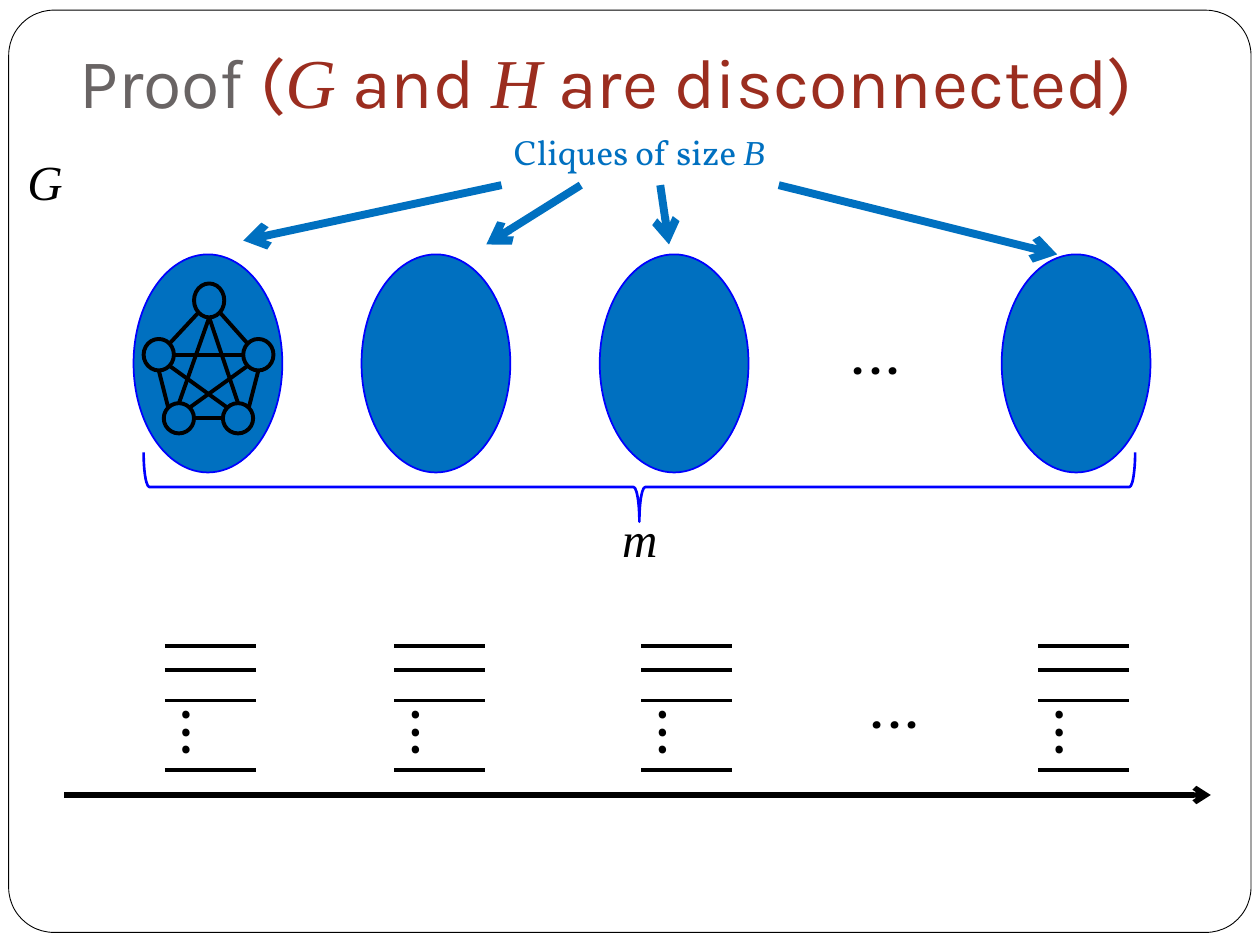
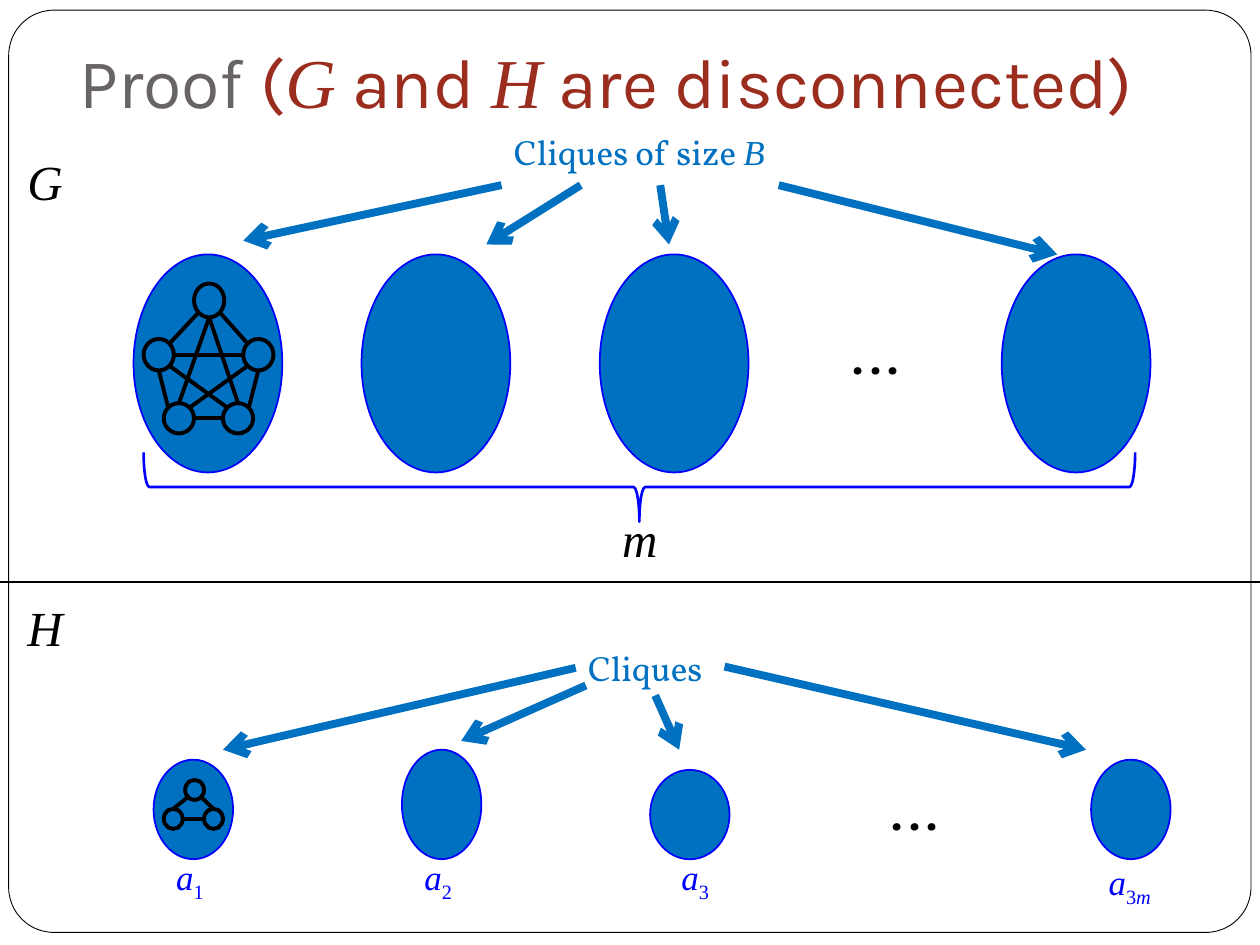
"""Two slides on disconnected graphs G and H, drawn as rows of cliques."""
from dataclasses import dataclass
from math import hypot

from lxml import etree
from pptx import Presentation
from pptx.dml import color
from pptx.enum import shapes, text
from pptx.oxml import ns
from pptx.util import Pt


@dataclass(frozen=True)
class Theme:
    """Colours, fonts and type sizes of the deck."""
    ink: str = "000000"
    paper: str = "FFFFFF"
    grey: str = "696464"
    red: str = "9B2D1F"
    clique: str = "0070C0"
    outline: str = "0000FF"
    heading: str = "Karla"
    body: str = "Vollkorn"
    math: str = "Times New Roman"
    title_size: float = 40
    dots_size: float = 32
    symbol_size: float = 28
    label_size: float = 20


THEME = Theme()
OVAL = shapes.MSO_SHAPE.OVAL
COMPASS = {"n": (0, -1), "ne": (1, -1), "e": (1, 0), "se": (1, 1),
           "s": (0, 1), "sw": (-1, 1), "w": (-1, 0), "nw": (-1, -1)}

TITLE = [("Proof ", THEME.heading, THEME.grey),
         ("(", THEME.heading, THEME.red),
         ("G", THEME.math, THEME.red),
         (" and ", THEME.heading, THEME.red),
         ("H", THEME.math, THEME.red),
         (" are disconnected)", THEME.heading, THEME.red)]

G_CLIQUE_LEFTS = (76.3, 206.6, 342.7, 572.4)
G_ARROWS = [((286.6, 105.8), (139, 137.5)), ((331.9, 105.8), (277.9, 139.7)),
            ((377.3, 105.8), (382.3, 139.7)), ((445, 105.8), (604.1, 145.4))]
PENTAGON = {"left": (82.1, 193.7, 17.3, 18), "right": (139, 193.7, 17.3, 18),
            "top": (110.9, 162, 17.3, 19.4),
            "foot left": (93.6, 230.4, 17.3, 17.3),
            "foot right": (127.4, 230.4, 17.3, 17.3)}
PENTAGON_EDGES = [("top", "se", "right", "nw"), ("top", "sw", "left", "ne"),
                  ("top", "s", "foot right", "n"), ("top", "s", "foot left", "n"),
                  ("left", "e", "right", "w"), ("left", "s", "foot left", "nw"),
                  ("left", "se", "foot right", "nw"),
                  ("right", "s", "foot right", "ne"),
                  ("right", "sw", "foot left", "ne"),
                  ("foot left", "e", "foot right", "w")]

STREAM_LEFTS = (94.3, 225.4, 366.5, 593.3)
STREAM_LEVELS = (369.4, 383, 400.3, 439.9)

# Left and height of each clique, then left, top and subscript of its label.
H_CLIQUES = [(87.8, 56.9, 93.6, 485.3, "1"), (229.7, 62.6, 235.4, 485.3, "2"),
             (371.5, 51.1, 382.3, 485.3, "3"), (623.5, 56.9, 626.4, 488.2, "3m")]
H_BASELINE = 491
H_ARROWS = [((329, 381.6), (127.4, 428.4)), ((334.8, 391.7), (263.5, 423.4)),
            ((374.4, 397.4), (388.1, 428.4)), ((414, 380.9), (620.6, 428.4))]
TRIANGLE = {"left": (93.6, 462.2, 10.8, 11.5), "right": (116.6, 462.2, 10.8, 11.5),
            "top": (105.8, 445.7, 10.8, 11.5)}
TRIANGLE_EDGES = [("top", "se", "right", "n"), ("top", "sw", "left", "n"),
                  ("left", "e", "right", "w")]


def rgb(code):
    """Turn a hex code into a colour."""
    return color.RGBColor.from_string(code)


def write(frame, runs, size, subscript=""):
    """Fill a frame with (text, font, colour) runs; maths letters are italic."""
    paragraph = frame.paragraphs[0]
    paragraph.alignment = text.PP_ALIGN.LEFT
    if subscript:
        font, ink = runs[0][1:]
        runs = runs + [(sign, font, ink) for sign in subscript]
    for position, (words, font, ink) in enumerate(runs):
        run = paragraph.add_run()
        run.text = words
        run.font.name = font
        run.font.size = Pt(size)
        run.font.color.rgb = rgb(ink)
        run.font.italic = font == THEME.math and words.isalpha()
        if subscript and position:
            run._r.get_or_add_rPr().set("baseline", "-25000")


def add_label(slide, box, runs, size, subscript="", rotation=0):
    """Add a wrapping text box that grows with its text."""
    label = slide.shapes.add_textbox(*map(Pt, box))
    label.rotation = rotation
    label.text_frame.word_wrap = True
    label.text_frame.auto_size = text.MSO_AUTO_SIZE.SHAPE_TO_FIT_TEXT
    write(label.text_frame, runs, size, subscript)


def add_symbol(slide, letter, left, top):
    """Add a large italic maths letter."""
    add_label(slide, (left, top, 45.4, 41), [(letter, THEME.math, THEME.ink)],
              THEME.symbol_size)


def add_dots(slide, left, top, rotation=0):
    """Add an ellipsis that stands for omitted items."""
    add_label(slide, (left, top, 39.6, 46.1), [("…", THEME.body, THEME.ink)],
              THEME.dots_size, rotation=rotation)


def add_figure(parent, kind, box, ink, width, fill=None):
    """Add an outlined preset shape, hollow unless a fill is given."""
    figure = parent.shapes.add_shape(kind, *map(Pt, box))
    figure.shadow.inherit = False
    figure.line.color.rgb = rgb(ink)
    figure.line.width = Pt(width)
    if fill:
        figure.fill.solid()
        figure.fill.fore_color.rgb = rgb(fill)
    else:
        figure.fill.background()
    return figure


def add_line(slide, start, end, ink=THEME.ink, width=2.25, arrow=False):
    """Add a straight line, with an open arrowhead at its end if asked."""
    line = slide.shapes.add_connector(shapes.MSO_CONNECTOR.STRAIGHT,
                                      *map(Pt, (*start, *end)))
    line.line.color.rgb = rgb(ink)
    line.line.width = Pt(width)
    if arrow:
        etree.SubElement(line.line._get_or_add_ln(), ns.qn("a:tailEnd"), type="arrow")
    etree.SubElement(line._element.spPr, ns.qn("a:effectLst"))


def add_clique(slide, left, top, width, height):
    """Add one filled clique."""
    add_figure(slide, OVAL, (left, top, width, height), THEME.outline, 1, THEME.clique)


def add_clique_arrows(slide, arrows):
    """Point from a caption to the cliques it names."""
    for start, end in arrows:
        add_line(slide, start, end, THEME.clique, 4.5, arrow=True)


def rim_point(box, direction):
    """Find the point on an oval's rim in a compass direction."""
    left, top, width, height = box
    dx, dy = COMPASS[direction]
    reach = 2 * hypot(dx, dy)
    return left + width * (0.5 + dx / reach), top + height * (0.5 + dy / reach)


def add_network(slide, nodes, edges):
    """Draw hollow nodes and the edges between their rims."""
    for box in nodes.values():
        add_figure(slide, OVAL, box, THEME.ink, 2.25)
    for source, leave, target, arrive in edges:
        add_line(slide, rim_point(nodes[source], leave),
                 rim_point(nodes[target], arrive))


def add_frame(layout, slide):
    """Put the rounded page frame behind everything on the layout."""
    frame = add_figure(slide, shapes.MSO_SHAPE.ROUNDED_RECTANGLE,
                       (5, 5.8, 709.9, 527), THEME.ink, 0.5, THEME.paper)
    frame.adjustments[0] = 0.049
    layout.shapes.element.insert(2, frame._element)


def add_title(slide):
    """Place and write the shared title."""
    title = slide.shapes.title
    title.left, title.top, title.width, title.height = map(Pt, (38.2, 9.4, 668.2, 67.7))
    frame = title.text_frame
    frame.auto_size = text.MSO_AUTO_SIZE.NONE
    frame.vertical_anchor = text.MSO_ANCHOR.BOTTOM
    frame.margin_left = frame.margin_right = frame.margin_bottom = Pt(7.2)
    frame.margin_top = Pt(3.6)
    write(frame, TITLE, THEME.title_size)


def draw_graph_g(slide):
    """Draw G: m equal cliques of size B."""
    for left in G_CLIQUE_LEFTS:
        add_clique(slide, left, 145.4, 85, 124.6)
    add_dots(slide, 479.5, 178.6)
    add_label(slide, (286.6, 71.3, 175.7, 31.7),
              [("Cliques of size ", THEME.body, THEME.clique),
               ("B", THEME.math, THEME.clique)], THEME.label_size)
    add_clique_arrows(slide, G_ARROWS)
    add_symbol(slide, "G", 8.6, 82.8)
    brace = add_figure(slide, shapes.MSO_SHAPE.LEFT_BRACE,
                       (345.6, -5, 39.6, 566.6), THEME.outline, 1.5)
    brace.rotation = 270
    add_symbol(slide, "m", 348.5, 287.3)
    add_network(slide, PENTAGON, PENTAGON_EDGES)


def draw_streams(slide):
    """Draw the stacks of intervals above their axis."""
    add_line(slide, (36.7, 454.3), (691.9, 454.3), width=3, arrow=True)
    for left in STREAM_LEFTS:
        for level in STREAM_LEVELS:
            add_line(slide, (left, level), (left + 52, level))
        add_dots(slide, left + 2.9, 394.6, rotation=90)
    add_dots(slide, 490.3, 380.9)


def draw_graph_h(slide):
    """Draw H: 3m cliques of differing sizes on one baseline."""
    add_line(slide, (0, 332.6), (722.9, 332.6), width=0.75)
    add_symbol(slide, "H", 8.6, 337.7)
    for left, height, label_left, label_top, index in H_CLIQUES:
        add_clique(slide, left, H_BASELINE - height, 45.4, height)
        add_label(slide, (label_left, label_top, 45.4, 31.7),
                  [("a", THEME.math, THEME.outline)], THEME.label_size, index)
    add_dots(slide, 501.8, 439.2)
    add_label(slide, (329, 365.8, 90.7, 31.7),
              [("Cliques", THEME.body, THEME.clique)], THEME.label_size)
    add_clique_arrows(slide, H_ARROWS)
    add_network(slide, TRIANGLE, TRIANGLE_EDGES)


def main():
    """Build both slides and save them."""
    deck = Presentation()
    deck.slide_width, deck.slide_height = Pt(720), Pt(540)
    title_only = deck.slide_layouts[5]
    for draw_lower_half in (draw_streams, draw_graph_h):
        slide = deck.slides.add_slide(title_only)
        if len(deck.slides) == 1:
            add_frame(title_only, slide)
        add_title(slide)
        draw_graph_g(slide)
        draw_lower_half(slide)
    deck.save("out.pptx")


main()
